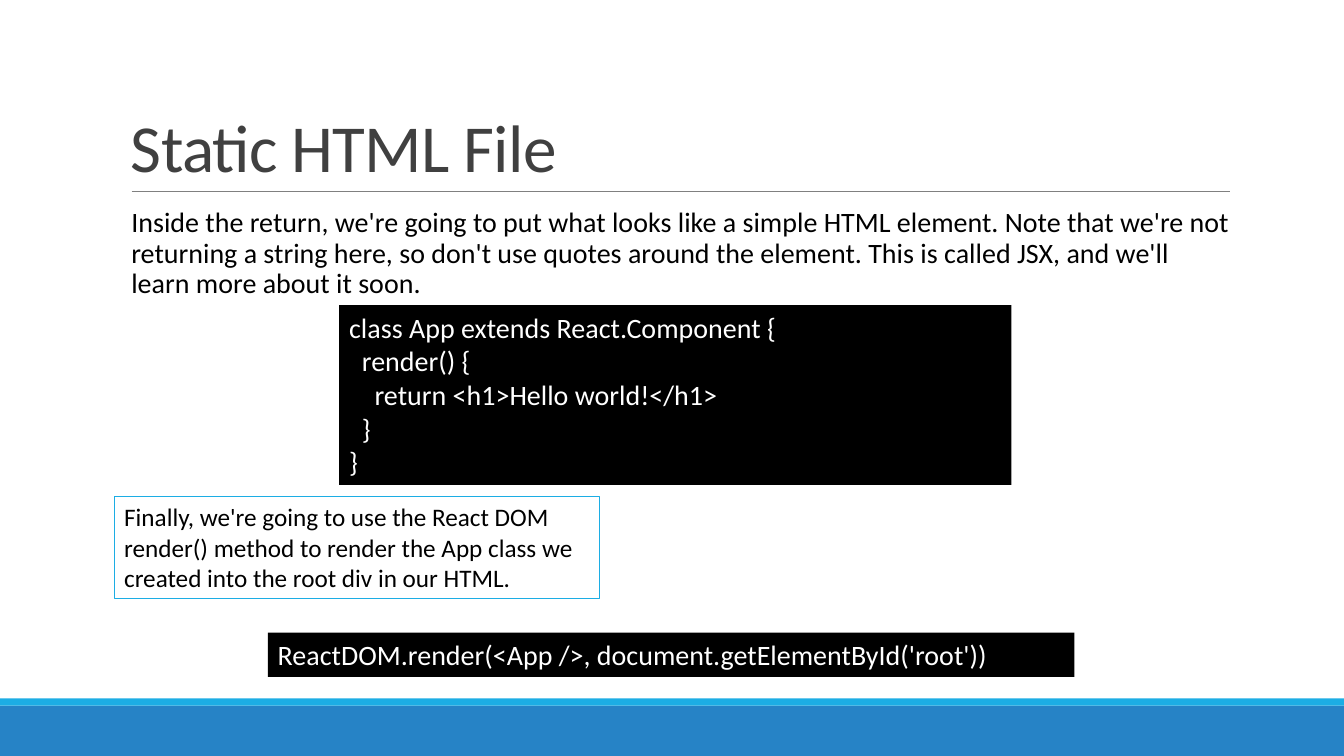
from dataclasses import dataclass
from typing import Any

from lxml import etree
from pptx import Presentation
from pptx.dml.color import RGBColor
from pptx.enum.shapes import MSO_CONNECTOR, MSO_SHAPE
from pptx.enum.text import MSO_ANCHOR, MSO_AUTO_SIZE, PP_ALIGN
from pptx.oxml.ns import qn
from pptx.util import Cm, Pt

RECTANGLE = MSO_SHAPE.RECTANGLE
STRAIGHT = MSO_CONNECTOR.STRAIGHT
LEFT = PP_ALIGN.LEFT
TOP, BOTTOM = MSO_ANCHOR.TOP, MSO_ANCHOR.BOTTOM
NO_AUTOFIT = MSO_AUTO_SIZE.NONE
TITLE_ONLY = 5


@dataclass(frozen=True)
class Theme:
    font: str = "Calibri"
    heading: str = "404040"
    ink: str = "000000"
    paper: str = "FFFFFF"
    rule: str = "808080"
    accent: str = "1CADE4"
    footer: str = "2683C6"
    title_size: float = 48
    text_size: float = 20
    note_size: float = 18
    code_indent: float = 0.32


THEME = Theme()


@dataclass(frozen=True)
class Line:
    text: str
    level: int = 0


@dataclass(frozen=True)
class Panel:
    left: float
    top: float
    width: float
    height: float
    lines: tuple[Line, ...] = ()
    fill: str | None = None
    border: str | None = None
    color: str = THEME.ink
    size: float = THEME.text_size
    spacing: float = 1.0
    side_inset: float = 0.25


PANELS = (
    Panel(0, 17.78, 33.87, 1.27, fill=THEME.footer),
    Panel(0, 17.6, 33.87, 0.18, fill=THEME.accent),
    Panel(3.31, 5.13, 27.7, 2.5, (Line(
        "Inside the return, we're going to put what looks like a simple HTML element. "
        "Note that we're not returning a string here, so don't use quotes around the "
        "element. This is called JSX, and we'll learn more about it soon."),),
        spacing=0.9, side_inset=0),
    Panel(8.55, 7.69, 16.94, 4.53, (
        Line("class App extends React.Component {"),
        Line("render() {", 1),
        Line("return <h1>Hello world!</h1>", 2),
        Line("}", 1),
        Line("}")), fill=THEME.ink, color=THEME.paper),
    Panel(2.88, 12.51, 12.22, 2.57, (Line(
        "Finally, we're going to use the React DOM render() method to render the App "
        "class we created into the root div in our HTML."),),
        border=THEME.accent, size=THEME.note_size),
    Panel(6.75, 15.94, 20.33, 1.12, (Line(
        "ReactDOM.render(<App />, document.getElementById('root'))"),),
        fill=THEME.ink, color=THEME.paper),
)


def apply_format(target: Any, values: dict[str, Any]) -> None:
    for name, value in values.items():
        setattr(target, name, value)


def format_frame(frame: Any, anchor: Any, side_inset: float) -> None:
    apply_format(frame, {
        "word_wrap": True, "auto_size": NO_AUTOFIT, "vertical_anchor": anchor,
        "margin_left": Cm(side_inset), "margin_right": Cm(side_inset),
        "margin_top": Cm(0.13), "margin_bottom": Cm(0.13),
    })


def write_line(para: Any, line: Line, size: float, color: str, spacing: float) -> Any:
    apply_format(para, {"alignment": LEFT, "line_spacing": spacing})
    if line.level:
        para._p.get_or_add_pPr().set("marL", str(Cm(THEME.code_indent * line.level)))
    span = para.add_run()
    span.text = line.text
    apply_format(span.font, {"name": THEME.font, "size": Pt(size)})
    span.font.color.rgb = RGBColor.from_string(color)
    return span


def draw_panel(page: Any, panel: Panel) -> None:
    box = page.shapes.add_shape(
        RECTANGLE, Cm(panel.left), Cm(panel.top), Cm(panel.width), Cm(panel.height))
    box.shadow.inherit = False
    if panel.fill:
        box.fill.solid()
        box.fill.fore_color.rgb = RGBColor.from_string(panel.fill)
    else:
        box.fill.background()
    if panel.border:
        box.line.color.rgb = RGBColor.from_string(panel.border)
        box.line.width = Pt(0.75)
    else:
        box.line.fill.background()
    frame = box.text_frame
    format_frame(frame, TOP, panel.side_inset)
    for index, line in enumerate(panel.lines):
        para = frame.add_paragraph() if index else frame.paragraphs[0]
        write_line(para, line, panel.size, panel.color, panel.spacing)


def draw_title(page: Any, text: str) -> None:
    title = page.shapes.title
    apply_format(title, {
        "left": Cm(3.05), "top": Cm(0.79), "width": Cm(27.94), "height": Cm(4.04)})
    format_frame(title.text_frame, BOTTOM, 0.25)
    span = write_line(title.text_frame.paragraphs[0], Line(text),
                      THEME.title_size, THEME.heading, 0.85)
    span.font._element.set("spc", "-50")


def draw_rule(page: Any) -> None:
    rule = page.shapes.add_connector(STRAIGHT, Cm(3.32), Cm(4.82), Cm(31), Cm(4.82))
    rule.line.color.rgb = RGBColor.from_string(THEME.rule)
    rule.line.width = Pt(0.5)
    etree.SubElement(rule._element.spPr, qn("a:effectLst"))


def main() -> None:
    deck = Presentation()
    apply_format(deck, {"slide_width": Cm(33.87), "slide_height": Cm(19.05)})
    page = deck.slides.add_slide(deck.slide_layouts[TITLE_ONLY])
    draw_title(page, "Static HTML File")
    draw_rule(page)
    for panel in PANELS:
        draw_panel(page, panel)
    deck.save("out.pptx")


if __name__ == "__main__":
    main()
